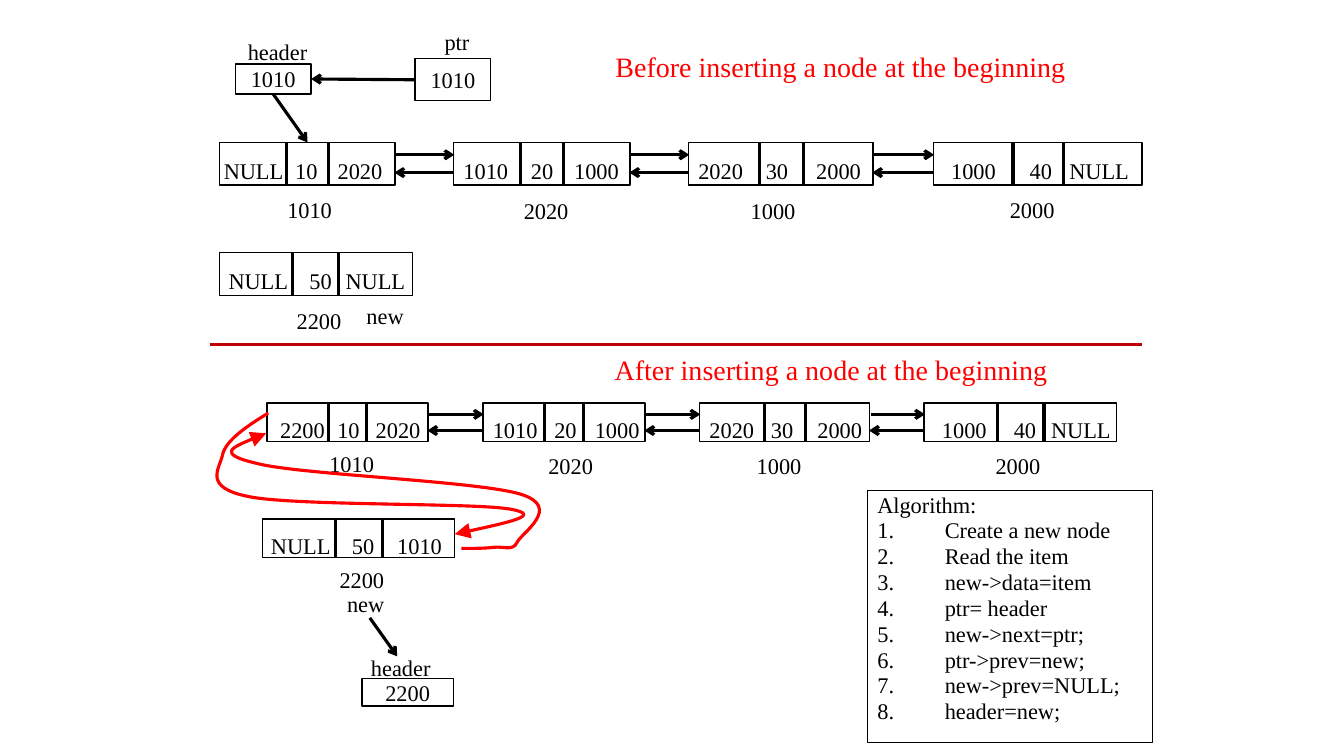
from lxml import etree
from pptx import Presentation
from pptx.dml.color import RGBColor
from pptx.enum import shapes, text
from pptx.oxml import ns
from pptx.util import Cm, Pt

COLORS = {"ink": "000000", "paper": "FFFFFF", "accent": "FF0000", "rule": "C00000"}
FONT = "Times New Roman"
FIELD_WIDTHS = {"NULL": 2.08, "10": 1.09, "20": 1.09, "30": 1.09, "40": 1.09, "50": 1.09}
ADDRESS_WIDTH = 1.65

# Each node: left, width, divider offsets, field texts, field offsets, address, address offsets
NODES_BEFORE = [
    (0.54, 4.42, (1.68, 2.74), ("NULL", "10", "2020"), (-0.15, 1.65, 2.72), "1010", (1.45, 1.22)),
    (6.43, 4.45, (1.68, 2.77), ("1010", "20", "1000"), (0, 1.7, 2.79), "2020", (1.52, 1.25)),
    (12.35, 4.65, (1.78, 2.9), ("2020", "30", "2000"), (0, 1.7, 2.97), "1000", (1.32, 1.25)),
    (18.52, 5.26, (2.01, 3.28), ("1000", "40", "NULL"), (0.2, 2.18, 3.18), "2000", (1.68, 1.22)),
]
NODES_AFTER = [
    (1.73, 4.06, (1.55, 2.51), ("2200", "10", "2020"), (0.08, 1.52, 2.49), "1010", (1.32, 1.06)),
    (7.17, 4.09, (1.55, 2.54), ("1010", "20", "1000"), (0, 1.55, 2.57), "2020", (1.4, 1.12)),
    (12.63, 4.29, (1.63, 2.67), ("2020", "30", "2000"), (0, 1.55, 2.72), "1000", (1.19, 1.12)),
    (18.29, 4.85, (1.85, 3.02), ("1000", "40", "NULL"), (0.2, 2.01, 2.95), "2000", (1.55, 1.1)),
]

# Start point, then two control points and an end point per Bézier segment
NEW_TO_FIRST = [
    (6.63, 5.13), (6.94, 5.13), (7.24, 5.13), (7.47, 5.1), (7.7, 5.08), (7.93, 5.2),
    (8.03, 4.98), (8.13, 4.75), (9.2, 4.09), (8.11, 3.76), (7.01, 3.43), (2.54, 3.27),
    (1.48, 2.99), (0.41, 2.74), (1.05, 2.49), (1.71, 2.23)]
FIRST_TO_NEW = [
    (1.76, 1.72), (1.22, 2.05), (0.69, 2.41), (0.61, 2.77), (0.54, 3.12), (0.08, 3.6),
    (1.3, 3.83), (2.49, 4.06), (6.99, 3.98), (7.85, 4.14), (8.72, 4.29), (7.6, 4.52),
    (6.46, 4.77)]

STEPS = ["Create a new node", "Read the item", "new->data=item", "ptr= header",
         "new->next=ptr;", "ptr->prev=new;", "new->prev=NULL;", "header=new;"]


def rgb(name):
    return RGBColor.from_string(COLORS[name])


def write(para, words, size=16, color="ink"):
    span = para.add_run()
    span.text = words
    span.font.name, span.font.size = FONT, Pt(size)
    span.font.color.rgb = rgb(color)


def add_box(page, left, top, width, height, words="", fill="paper", line="ink",
            line_width=1, **style):
    box = page.shapes.add_shape(shapes.MSO_SHAPE.RECTANGLE,
                                Cm(left), Cm(top), Cm(width), Cm(height))
    box.shadow.inherit = False
    if fill:
        box.fill.solid()
        box.fill.fore_color.rgb = rgb(fill)
    else:
        box.fill.background()
    box.line.color.rgb = rgb(line)
    box.line.width = Pt(line_width)
    if words:
        para = box.text_frame.paragraphs[0]
        para.alignment = text.PP_ALIGN.CENTER
        write(para, words, **style)
    return box


def add_label(page, left, top, width, height, words):
    return add_box(page, left, top, width, height, words, line="paper")


def add_title(page, left, top, width, words):
    box = add_box(page, left, top, width, 1.12, words, fill=None, line="paper",
                  line_width=0.75, size=20, color="accent")
    box.text_frame.word_wrap = False
    box.text_frame.vertical_anchor = text.MSO_ANCHOR.TOP
    box.text_frame.paragraphs[0].alignment = text.PP_ALIGN.LEFT


def add_field(page, left, top, words):
    width = FIELD_WIDTHS.get(words, ADDRESS_WIDTH)
    box = page.shapes.add_textbox(Cm(left), Cm(top), Cm(width), Cm(0.94))
    box.text_frame.word_wrap = False
    write(box.text_frame.paragraphs[0], words)


def add_head(line, kind, size="med"):
    etree.SubElement(line.get_or_add_ln(), ns.qn("a:tailEnd"), type=kind, w=size, len=size)


def add_line(page, start, end, color="ink", head=None):
    line = page.shapes.add_connector(shapes.MSO_CONNECTOR.STRAIGHT,
                                     *(Cm(value) for value in (*start, *end)))
    line.line.color.rgb = rgb(color)
    line.line.width = Pt(2.25)
    if head:
        add_head(line, head)
    etree.SubElement(line.element.spPr, ns.qn("a:effectLst"))
    return line


def add_curve(page, left, top, points):
    trail = [(Cm(left + x), Cm(top + y)) for x, y in points]
    outline = page.shapes.build_freeform(*trail[0])
    outline.add_line_segments(trail[1:], close=False)
    curve = outline.convert_to_shape()
    # Turn every three straight steps into one Bézier segment
    steps = list(curve.element.iter(ns.qn("a:lnTo")))
    for first in range(0, len(steps), 3):
        bend = etree.Element(ns.qn("a:cubicBezTo"))
        steps[first].addprevious(bend)
        for step in steps[first:first + 3]:
            bend.append(step[0])
            step.getparent().remove(step)
    curve.shadow.inherit = False
    curve.fill.background()
    curve.line.color.rgb = rgb("accent")
    curve.line.width = Pt(2.25)
    add_head(curve, "triangle", "lg")


def add_node(page, left, top, width, height, dividers, fields, offsets, drop):
    node = add_box(page, left, top, width, height)
    for divider in dividers:
        add_line(page, (left + divider, top), (left + divider, top + height))
    for words, offset in zip(fields, offsets):
        add_field(page, left + offset, top + drop, words)
    return node


def add_chain(page, left, top, height, nodes, drop):
    boxes = []
    for start, width, dividers, fields, offsets, address, (shift, fall) in nodes:
        boxes.append(add_node(page, left + start, top, width, height,
                              dividers, fields, offsets, drop))
        add_field(page, left + start + shift, top + fall, address)
    # Links forward and back between neighbours
    for node, follower in zip(nodes, nodes[1:]):
        near, far = left + node[0] + node[1], left + follower[0]
        forward, back = top + 0.29 * height, top + 0.71 * height
        add_line(page, (near + 0.03, forward), (far + 0.02, forward), head="arrow")
        add_line(page, (far + 0.02, back), (near - 0.02, back), head="arrow")
    return boxes


def draw_before(page, left, top):
    first = add_chain(page, left, top + 3.59, 1.07, NODES_BEFORE, 0.25)[0]
    # Pointers to the first node
    add_label(page, left + 0.51, top + 0.84, 2.97, 0.91, "header")
    header = add_box(page, left + 0.93, top + 1.61, 1.91, 0.76, "1010")
    add_label(page, left + 5.03, top + 0.42, 2.97, 1.27, "ptr")
    pointer = add_box(page, left + 5.46, top + 1.48, 1.91, 1.06, "1010")
    for source, side, target, target_side in ((header, 2, first, 0), (pointer, 1, header, 3)):
        link = add_line(page, (left, top), (left, top), head="arrow")
        link.begin_connect(source, side)
        link.end_connect(target, target_side)
    add_title(page, left + 10.26, top + 1.13, 11.94, "Before inserting a node at the beginning")
    # Node waiting to be inserted
    add_node(page, left + 0.54, top + 6.36, 4.85, 1.09, (1.83, 3),
             ("NULL", "50", "NULL"), (-0.03, 2.01, 2.92), 0.25)
    add_label(page, left + 1.67, top + 7.6, 2.74, 0.94, "2200")
    add_label(page, left + 3.83, top + 7.55, 1.75, 0.79, "new")


def draw_after(page, left, top):
    add_chain(page, left, top + 1.47, 0.97, NODES_AFTER, 0.21)
    # Inserted node and its links
    add_node(page, left + 1.61, top + 4.39, 4.85, 0.97, (1.85, 3.02),
             ("NULL", "50", "1010"), (-0.03, 2.01, 3.15), 0.21)
    add_label(page, left + 2.75, top + 5.49, 2.74, 0.84, "2200")
    add_label(page, left + 3.34, top + 6.17, 1.75, 0.69, "new")
    for points in (NEW_TO_FIRST, FIRST_TO_NEW):
        add_curve(page, left, top, points)
    # Updated header
    add_label(page, left + 3.74, top + 7.7, 2.72, 0.84, "header")
    add_box(page, left + 4.12, top + 8.41, 2.31, 0.69, "2200")
    add_line(page, (left + 4.32, top + 6.88), (left + 5.01, top + 7.85), head="arrow")
    add_title(page, left + 10.24, top + 0.06, 11.51, "After inserting a node at the beginning")


def draw_algorithm(page, left, top, width, height):
    box = add_box(page, left, top, width, height, fill=None, line_width=0.75)
    frame = box.text_frame
    frame.vertical_anchor = text.MSO_ANCHOR.TOP
    for number, words in enumerate(["Algorithm:"] + STEPS):
        para = frame.add_paragraph() if number else frame.paragraphs[0]
        para.alignment = text.PP_ALIGN.LEFT
        para.line_spacing = 0.8
        if number:
            para.space_before = Pt(3.1)
        layout = para._p.get_or_add_pPr()
        layout.set("marL", str(Cm(1.7)))
        layout.set("indent", str(-Cm(1.7)))
        if number:
            etree.SubElement(layout, ns.qn("a:buAutoNum"), type="arabicPeriod")
        write(para, words)


def main():
    deck = Presentation()
    deck.slide_width, deck.slide_height = Cm(33.87), Cm(19.05)
    page = deck.slides.add_slide(deck.slide_layouts[6])
    draw_algorithm(page, 21.86, 12.37, 7.19, 6.35)
    draw_after(page, 5, 8.69)
    draw_before(page, 5, 0)
    add_line(page, (5.29, 8.69), (28.79, 8.69), color="rule")
    deck.save("out.pptx")


if __name__ == "__main__":
    main()
